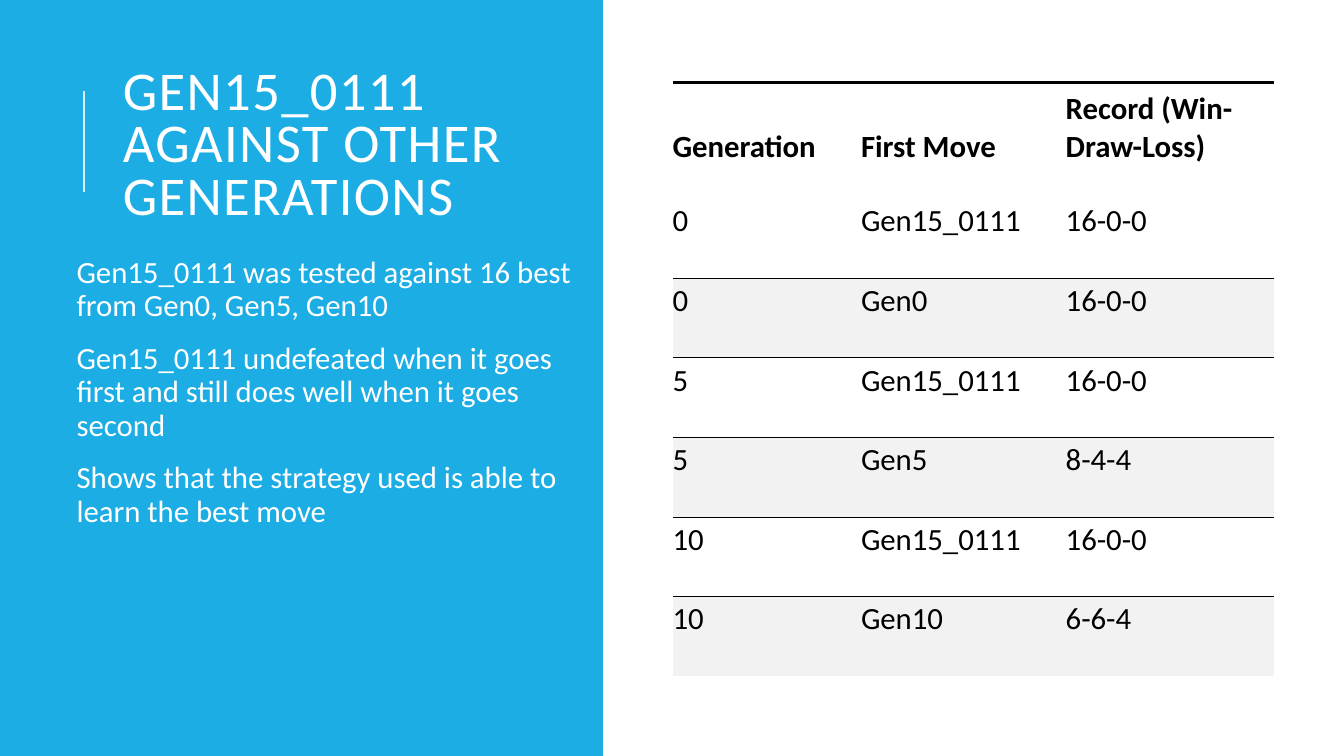
"""Build the slide on Gen15_0111 against other generations."""
from typing import NamedTuple

from lxml.etree import SubElement
from pptx import Presentation
from pptx.dml.color import RGBColor
from pptx.enum.shapes import MSO_CONNECTOR, MSO_SHAPE
from pptx.enum.text import MSO_ANCHOR
from pptx.oxml.ns import qn
from pptx.slide import Slide
from pptx.table import _Cell
from pptx.text.text import TextFrame, _Paragraph
from pptx.util import Emu, Pt

PX = 9144
FONT = "Calibri"
BLUE, PALE_BLUE, WHITE, BLACK, GREY = "1CADE4", "D2EFFA", "FFFFFF", "000000", "F2F2F2"
PLAIN_TABLE_STYLE = "{2D5ABB26-0587-4C30-8999-92F81FD0307C}"

TITLE = "GEN15_0111 AGAINST OTHER GENERATIONS"
POINTS = [
    "Gen15_0111 was tested against 16 best from Gen0, Gen5, Gen10",
    "Gen15_0111 undefeated when it goes first and still does well when it goes second",
    "Shows that the strategy used is able to learn the best move",
]


class Match(NamedTuple):
    """One row of the results table."""

    generation: str
    first_move: str
    record: str


HEADER = Match("Generation", "First Move", "Record (Win-Draw-Loss)")
MATCHES = [
    Match("0", "Gen15_0111", "16-0-0"),
    Match("0", "Gen0", "16-0-0"),
    Match("5", "Gen15_0111", "16-0-0"),
    Match("5", "Gen5", "8-4-4"),
    Match("10", "Gen15_0111", "16-0-0"),
    Match("10", "Gen10", "6-6-4"),
]
COLUMN_WIDTHS = [187, 203, 207]
HEADER_HEIGHT, ROW_HEIGHT = 115, 79


def px(length: int) -> Emu:
    """Turn px into EMU."""
    return Emu(length * PX)


def colour(value: str) -> RGBColor:
    """Turn a hex string into a colour."""
    return RGBColor.from_string(value)


def format_paragraph(para: _Paragraph, size: int, text_colour: str, bold: bool = False) -> None:
    """Set the font of every run in a paragraph."""
    for span in para.runs:
        span.font.name = FONT
        span.font.size = Pt(size)
        span.font.bold = bold
        span.font.color.rgb = colour(text_colour)


def add_text_box(page: Slide, left: int, top: int, width: int, height: int) -> TextFrame:
    """Add a wrapping text box and return its text frame."""
    frame = page.shapes.add_textbox(px(left), px(top), px(width), px(height)).text_frame
    frame.word_wrap = True
    return frame


def add_panel(page: Slide) -> None:
    """Draw the blue panel and the thin line beside the title."""
    panel = page.shapes.add_shape(MSO_SHAPE.RECTANGLE, 0, 0, px(598), px(750))
    panel.shadow.inherit = False
    panel.fill.solid()
    panel.fill.fore_color.rgb = colour(BLUE)
    panel.line.fill.background()
    rule = page.shapes.add_connector(MSO_CONNECTOR.STRAIGHT, px(83), px(190), px(83), px(90))
    rule.line.color.rgb = colour(PALE_BLUE)
    rule.line.width = Pt(1.5)
    SubElement(rule._element.spPr, qn("a:effectLst"))


def add_title(page: Slide) -> None:
    """Write the title in spaced letters."""
    frame = add_text_box(page, 112, 64, 413, 164)
    frame.vertical_anchor = MSO_ANCHOR.MIDDLE
    frame.text = TITLE
    para = frame.paragraphs[0]
    para.line_spacing = 0.8
    format_paragraph(para, 39, WHITE)
    para.runs[0]._r.get_or_add_rPr().set("spc", "100")


def add_points(page: Slide) -> None:
    """Write the findings below the title."""
    frame = add_text_box(page, 61, 250, 511, 430)
    frame.margin_left = px(15)
    frame.margin_top = frame.margin_right = frame.margin_bottom = px(5)
    frame.text = "\n".join(POINTS)
    for index, para in enumerate(frame.paragraphs):
        para.line_spacing = 0.9
        para.space_before = Pt(12 if index else 0)
        para.space_after = Pt(2)
        format_paragraph(para, 22, WHITE)


def add_border(cell: _Cell, side: str, points: float) -> None:
    """Add a black border to one side of a cell."""
    line = SubElement(cell._tc.get_or_add_tcPr(), qn(f"a:{side}"), w=str(Pt(points)))
    fill = SubElement(line, qn("a:solidFill"))
    SubElement(fill, qn("a:srgbClr"), val=BLACK)


def format_cell(cell: _Cell, row: int) -> None:
    """Style a cell by the row it is in."""
    is_header = row == 0
    is_shaded = not is_header and row % 2 == 0
    cell.margin_left, cell.margin_top = px(0), px(4)
    cell.margin_right, cell.margin_bottom = px(11), px(33)
    cell.vertical_anchor = MSO_ANCHOR.BOTTOM if is_header else MSO_ANCHOR.TOP
    if is_header:
        add_border(cell, "lnT", 2.25)
    elif is_shaded:
        add_border(cell, "lnT", 0.5)
    else:
        add_border(cell, "lnB", 0.5)
    if is_shaded:
        cell.fill.solid()
        cell.fill.fore_color.rgb = colour(GREY)
    else:
        cell.fill.background()
    format_paragraph(cell.text_frame.paragraphs[0], 22, BLACK, is_header)


def add_results(page: Slide) -> None:
    """Add the table of match records."""
    rows = [HEADER, *MATCHES]
    height = HEADER_HEIGHT + ROW_HEIGHT * len(MATCHES)
    table = page.shapes.add_table(
        len(rows), len(COLUMN_WIDTHS), px(667), px(82), px(sum(COLUMN_WIDTHS)), px(height)
    ).table
    table._tbl.tblPr.find(qn("a:tableStyleId")).text = PLAIN_TABLE_STYLE
    table.horz_banding = False
    for column, width in zip(table.columns, COLUMN_WIDTHS):
        column.width = px(width)
    for row, match in enumerate(rows):
        table.rows[row].height = px(ROW_HEIGHT if row else HEADER_HEIGHT)
        for column, value in enumerate(match):
            cell = table.cell(row, column)
            cell.text_frame.text = value
            format_cell(cell, row)


def main() -> None:
    """Build and save the deck."""
    deck = Presentation()
    deck.slide_width, deck.slide_height = px(1333), px(750)
    page = deck.slides.add_slide(deck.slide_layouts[6])
    add_panel(page)
    add_title(page)
    add_points(page)
    add_results(page)
    deck.save("out.pptx")


if __name__ == "__main__":
    main()
